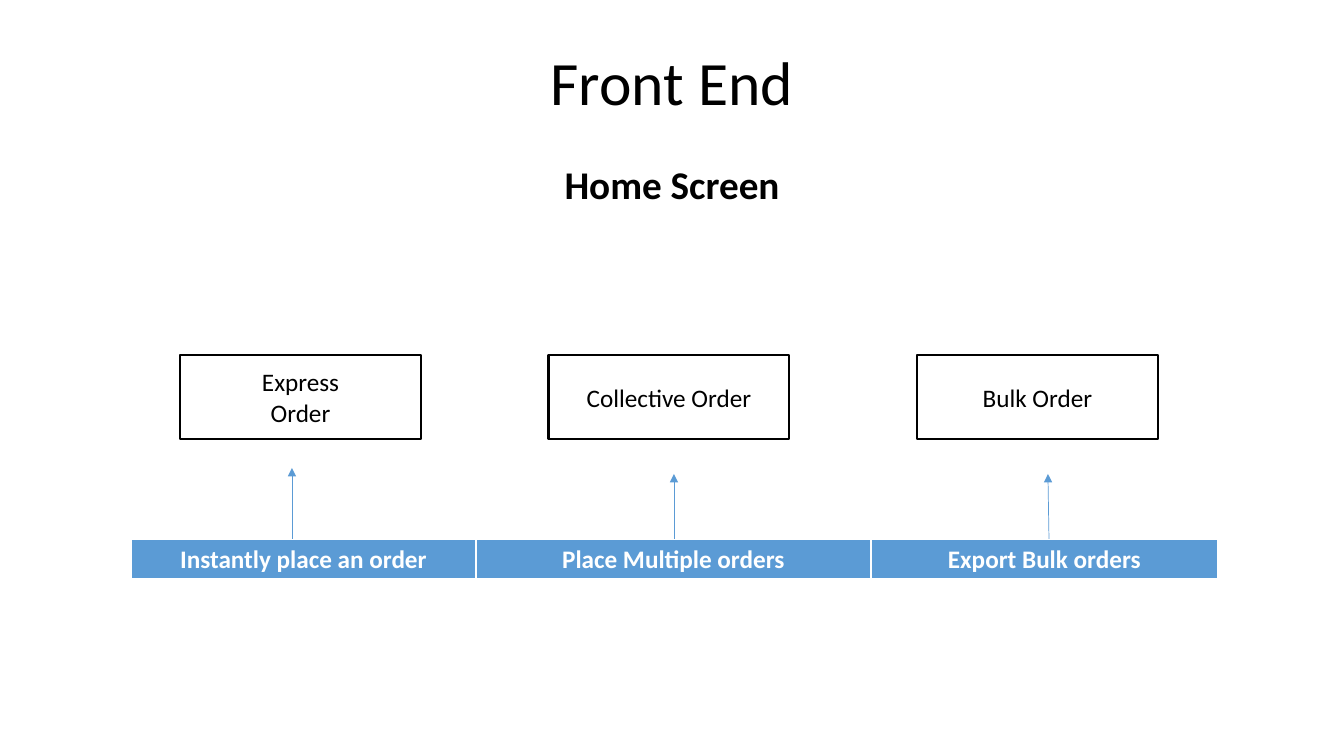
from dataclasses import dataclass

from lxml.etree import SubElement as Sub
from pptx import Presentation
from pptx.dml.color import RGBColor as Rgb
from pptx.enum.shapes import MSO_CONNECTOR as Link, MSO_SHAPE as Form
from pptx.enum.text import MSO_ANCHOR as Anchor, PP_ALIGN as Align
from pptx.oxml.ns import qn
from pptx.util import Pt

SCALE = 914400 / 100.8


@dataclass(frozen=True)
class Theme:
    """Colours, font and type sizes of the slide."""
    ink: str = "000000"
    paper: str = "FFFFFF"
    blue: str = "5B9BD5"
    font: str = "Calibri"
    title: int = 44
    head: int = 28
    body: int = 18


def px(*vals):
    """Turn pixels into EMU."""
    return [round(v * SCALE) for v in vals]


def write(frame, text, font, size, color, bold=False, lead=None, gap=0):
    """Fill a text frame with centred paragraphs, one per line of text."""
    frame.word_wrap = True
    for i, line in enumerate(text.split("\n")):
        para = frame.add_paragraph() if i else frame.paragraphs[0]
        para.alignment = Align.CENTER
        para.space_before = Pt(gap)
        if lead:
            para.line_spacing = lead
        run = para.add_run()
        run.text = line
        run.font.name, run.font.size, run.font.bold = font, Pt(size), bold
        run.font.color.rgb = Rgb.from_string(color)


class Board:
    """Draws themed elements on one slide."""

    def __init__(self, slide, theme):
        """Keep the slide and its style."""
        self.shapes, self.theme = slide.shapes, theme

    def label(self, text, area, size, anchor=Anchor.TOP, **form):
        """Add a plain text box."""
        frame = self.shapes.add_textbox(*px(*area)).text_frame
        frame.vertical_anchor = anchor
        write(frame, text, self.theme.font, size, self.theme.ink, **form)

    def box(self, text, area):
        """Add an outlined box with centred text."""
        look = self.theme
        shape = self.shapes.add_shape(Form.RECTANGLE, *px(*area))
        shape.shadow.inherit = False
        shape.fill.solid()
        shape.fill.fore_color.rgb = Rgb.from_string(look.paper)
        shape.line.color.rgb = Rgb.from_string(look.ink)
        shape.line.width = Pt(1.5)
        shape.text_frame.vertical_anchor = Anchor.MIDDLE
        write(shape.text_frame, text, look.font, look.body, look.ink)

    def edge(self, cell, side, width):
        """Draw one border of a table cell."""
        line = Sub(cell._tc.get_or_add_tcPr(), qn(f"a:ln{side}"), w=str(Pt(width)))
        Sub(Sub(line, qn("a:solidFill")), qn("a:srgbClr"), val=self.theme.paper)

    def band(self, texts, left, top, widths, height):
        """Add a table of one filled row."""
        look = self.theme
        area = px(left, top, sum(widths), height)
        table = self.shapes.add_table(1, len(texts), *area).table
        table.first_row = table.horz_banding = False
        table.rows[0].height = area[-1]
        for col, (text, width) in enumerate(zip(texts, widths)):
            table.columns[col].width = px(width)[0]
            cell = table.cell(0, col)
            for side, line in zip("LRTB", (1, 1, 1, 3)):
                self.edge(cell, side, line)
            cell.fill.solid()
            cell.fill.fore_color.rgb = Rgb.from_string(look.blue)
            write(cell.text_frame, text, look.font, look.body, look.paper, bold=True)

    def arrow(self, start, end):
        """Add a thin arrow pointing at its end."""
        link = self.shapes.add_connector(Link.STRAIGHT, *px(*start, *end))
        link.line.color.rgb = Rgb.from_string(self.theme.blue)
        link.line.width = Pt(0.5)
        Sub(link.line._get_or_add_ln(), qn("a:tailEnd"), type="triangle")
        Sub(link._element.spPr, qn("a:effectLst"))


def main():
    """Build the slide and save it."""
    deck = Presentation()
    deck.slide_width, deck.slide_height = px(1344, 756)
    theme = Theme()
    board = Board(deck.slides.add_slide(deck.slide_layouts[6]), theme)

    board.label("Front End", (92, 40, 1160, 92), theme.title, Anchor.MIDDLE, lead=0.9)
    board.label("Home Screen", (92, 161, 1160, 520), theme.head,
                bold=True, lead=0.9, gap=10)

    orders = "Express\nOrder", "Collective Order", "Bulk Order"
    for i, name in enumerate(orders):
        board.box(name, (180 + i * 368.5, 355, 241, 84))

    base = 539
    notes = "Instantly place an order", "Place Multiple orders", "Export Bulk orders"
    board.band(notes, 131, base, (345, 395, 347), 41)
    for foot, tip, top in ((292, 292, 468), (674, 674, 474), (1049, 1048, 474)):
        board.arrow((foot, base), (tip, top))

    deck.save("out.pptx")


main()
